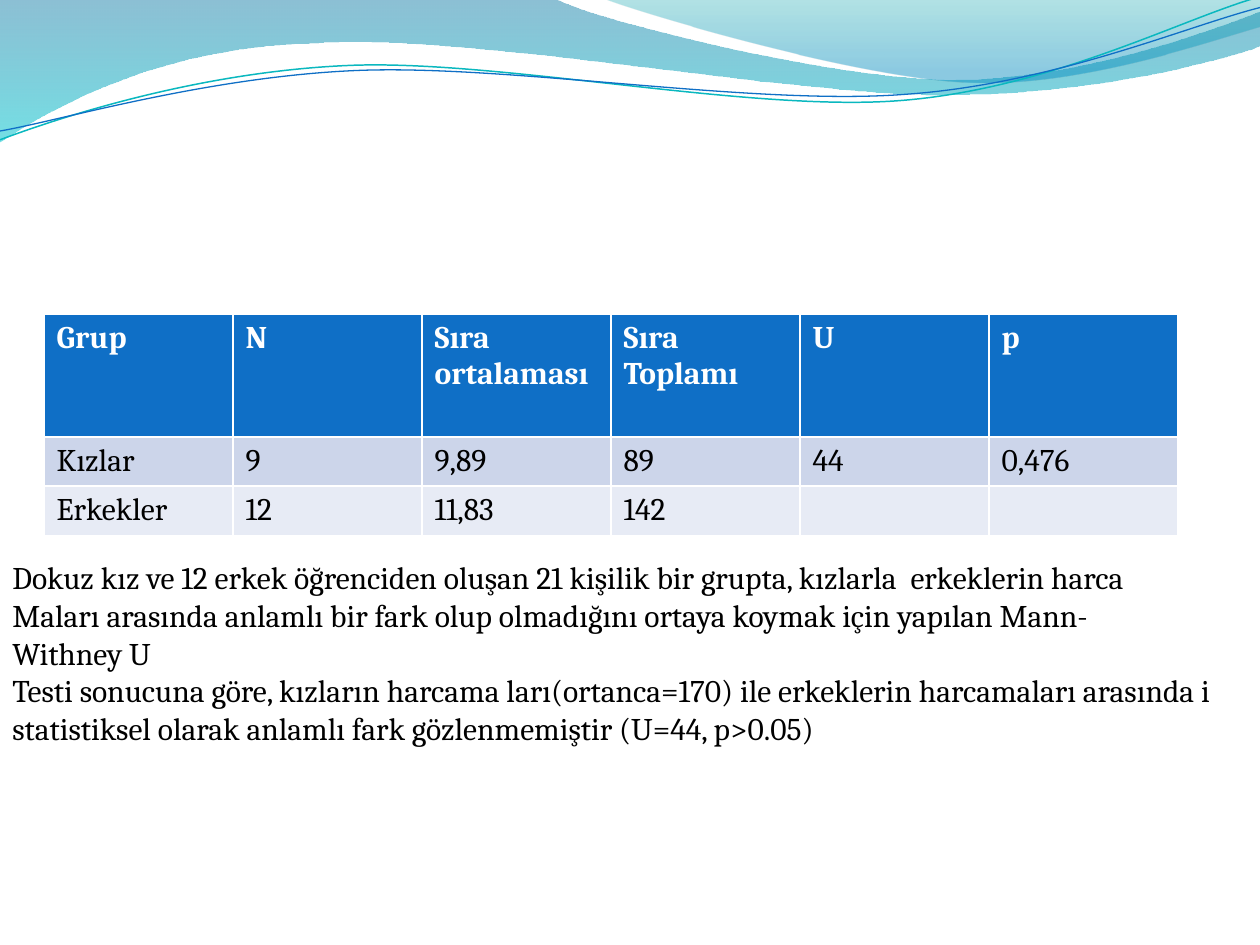
from lxml import etree
from pptx import Presentation
from pptx.dml.color import RGBColor
from pptx.enum.text import MSO_AUTO_SIZE
from pptx.oxml.ns import qn
from pptx.util import Inches, Pt

FIT_SHAPE = MSO_AUTO_SIZE.SHAPE_TO_FIT_TEXT
FONT = "Cambria"
TEXT_SIZE = Pt(18)

COLORS = {
    "white": "FFFFFF",
    "black": "000000",
    "header": "0F6FC6",
    "band_dark": "CCD5EA",
    "band_light": "E7EBF5",
    "teal_line": "0AB8BF",
    "blue_line": "0F6FC6",
    "wave_top": "0074A1",
    "wave_bottom": "00C6CF",
    "crest_top": "00A1A9",
    "crest_bottom": "008BBF",
}

RESULTS = [
    ["Grup", "N", "Sıra ortalaması", "Sıra Toplamı", "U", "p"],
    ["Kızlar", "9", "9,89", "89", "44", "0,476"],
    ["Erkekler", "12", "11,83", "142", "", ""],
]
ROW_HEIGHTS = [0.98, 0.3, 0.3]
ROW_FILLS = ["header", "band_dark", "band_light"]
COLUMN_WIDTH = 1.5
TABLE_HEIGHT = 1.78

FINDINGS = [
    "Dokuz kız ve 12 erkek öğrenciden oluşan 21 kişilik bir grupta, kızlarla  erkeklerin harca",
    "Maları arasında anlamlı bir fark olup olmadığını ortaya koymak için yapılan Mann-",
    "Withney U",
    "Testi sonucuna göre, kızların harcama ları(ortanca=170) ile erkeklerin harcamaları arasında i",
    "statistiksel olarak anlamlı fark gözlenmemiştir (U=44, p>0.05)",
]

WAVES = [
    {
        "start": (0, 0),
        "segments": [[(4.4, -0.01)],
                     [(4.76, 0.17), (6.64, 0.63), (7.58, 0.63)],
                     [(8.53, 0.63), (9.58, 0.26), (10, 0.09)],
                     [(10.01, 0.36)],
                     [(9.83, 0.44), (8.7, 0.76), (7.46, 0.75)],
                     [(6.22, 0.75), (3.82, 0.28), (2.57, 0.34)],
                     [(1.29, 0.36), (0.46, 0.83), (-0.01, 1.13)],
                     [(0, 0)]],
        "stops": [(0, "wave_top", 45), (1, "wave_bottom", 55)],
    },
    {
        "start": (4.79, -0.01),
        "segments": [[(5.09, 0.11), (6.82, 0.62), (7.69, 0.65)],
                     [(8.56, 0.69), (9.61, 0.32), (10, 0.21)],
                     [(10, 0)],
                     [(4.79, -0.01)]],
        "stops": [(0, "crest_top", 30), (0.8, "crest_bottom", 45)],
    },
    {
        "start": (0, 1.11),
        "segments": [[(0.48, 0.93), (1.58, 0.57), (2.77, 0.52)],
                     [(3.95, 0.47), (5.93, 0.89), (7.13, 0.8)],
                     [(8.33, 0.71), (9.38, 0.15), (9.98, -0.02)]],
        "line": ("teal_line", 0.85),
    },
    {
        "start": (0, 1.04),
        "segments": [[(0.47, 0.96), (1.64, 0.61), (2.83, 0.56)],
                     [(4.03, 0.51), (5.97, 0.84), (7.17, 0.75)],
                     [(8.36, 0.67), (9.41, 0.21), (10, 0.06)]],
        "line": ("blue_line", 0.75),
    },
]


def rgb(name):
    return RGBColor.from_string(COLORS[name])


def draw_outline(slide, start, segments, closed):
    builder = slide.shapes.build_freeform(*map(Inches, start))
    builder.add_line_segments(
        [(Inches(x), Inches(y)) for segment in segments for x, y in segment],
        close=closed)
    wave = builder.convert_to_shape()
    steps = iter(list(wave._element.spPr.iter(qn("a:lnTo"))))
    for segment in segments:
        first, *others = [next(steps) for _ in segment]
        if others:
            curve = etree.Element(qn("a:cubicBezTo"))
            first.addprevious(curve)
            for step in [first] + others:
                curve.append(step[0])
                step.getparent().remove(step)
    return wave


def add_wave(slide, start, segments, stops=None, line=None):
    wave = draw_outline(slide, start, segments, closed=stops is not None)
    wave.shadow.inherit = False
    if line:
        color, width = line
        wave.fill.background()
        wave.line.color.rgb = rgb(color)
        wave.line.width = Pt(width)
        return
    wave.line.fill.background()
    wave.fill.gradient()
    wave.fill.gradient_angle = 270
    for stop, (position, color, _) in zip(wave.fill.gradient_stops, stops):
        stop.position = position
        stop.color.rgb = rgb(color)
    gradient_colors = wave._element.spPr.iter(qn("a:srgbClr"))
    for gradient_color, (_, _, opacity) in zip(gradient_colors, stops):
        etree.SubElement(gradient_color, qn("a:alpha"), val=str(opacity * 1000))


def format_text(text_frame, color, bold=False):
    for paragraph in text_frame.paragraphs:
        for font in [paragraph.font] + [run.font for run in paragraph.runs]:
            font.name = FONT
            font.size = TEXT_SIZE
            font.bold = bold
            font.color.rgb = rgb(color)


def add_results(slide):
    columns = len(RESULTS[0])
    results = slide.shapes.add_table(
        len(RESULTS), columns, Inches(0.35), Inches(2.49),
        Inches(COLUMN_WIDTH * columns), Inches(TABLE_HEIGHT))
    table = results.table
    for row_index, values in enumerate(RESULTS):
        is_header = row_index == 0
        table.rows[row_index].height = Inches(ROW_HEIGHTS[row_index])
        for column_index, value in enumerate(values):
            cell = table.cell(row_index, column_index)
            cell.text_frame.text = value
            format_text(cell.text_frame, "white" if is_header else "black", is_header)
            cell.fill.solid()
            cell.fill.fore_color.rgb = rgb(ROW_FILLS[row_index])
    results.height = Inches(TABLE_HEIGHT)


def add_findings(slide):
    findings = slide.shapes.add_textbox(
        Inches(0), Inches(4.38), Inches(10.16), Inches(1.92)).text_frame
    findings.word_wrap = False
    findings.auto_size = FIT_SHAPE
    findings.text = "\n".join(FINDINGS)
    format_text(findings, "black")


def main():
    presentation = Presentation()
    presentation.slide_width = Inches(10)
    presentation.slide_height = Inches(7.5)
    slide = presentation.slides.add_slide(presentation.slide_layouts[6])
    for wave in WAVES:
        add_wave(slide, **wave)
    add_results(slide)
    add_findings(slide)
    presentation.save("out.pptx")


if __name__ == "__main__":
    main()
